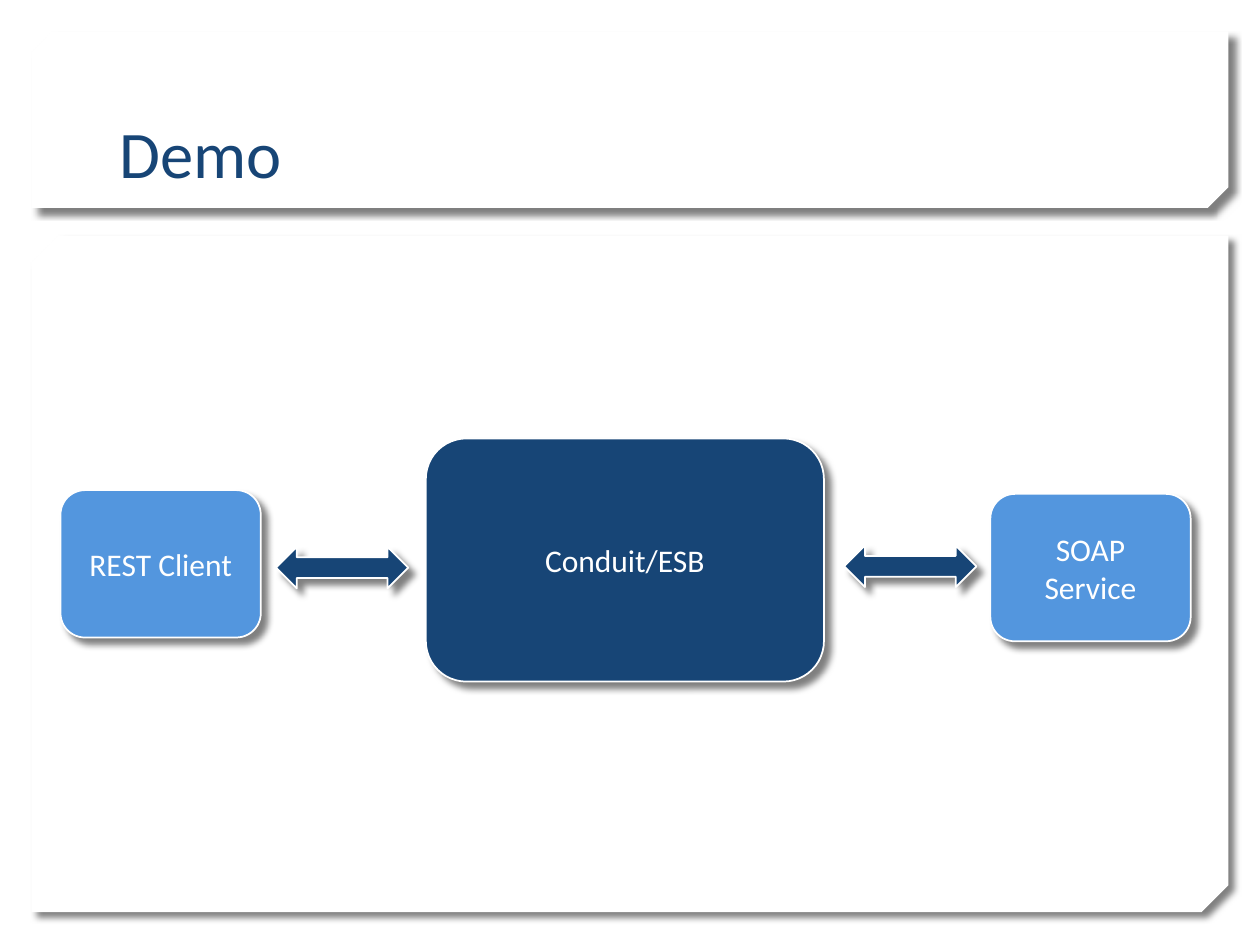
from lxml.etree import SubElement
from pptx import Presentation
from pptx.dml.color import RGBColor
from pptx.enum.shapes import MSO_SHAPE as Shape
from pptx.enum.text import MSO_ANCHOR as Anchor, PP_ALIGN as Align
from pptx.oxml.ns import qn
from pptx.util import Inches, Pt

COLORS = {"navy": "174576", "blue": "5396DE", "white": "FFFFFF", "shadow": "000000"}
FONT = "Calibri"
TITLE = "Demo"

# Panels: top, height, corner snip
PANEL_LEFT, PANEL_WIDTH = 0.25, 9.5
PANELS = [(1.87, 5.37, 0.04), (0.25, 1.4, 0.117)]

# Boxes: text, colour, left, top, size
SMALL, LARGE = (1.59, 1.17), (3.16, 1.93)
BOXES = [
    ("REST Client", "blue", 0.48, 3.89, SMALL),
    ("SOAP Service", "blue", 7.86, 3.92, SMALL),
    ("Conduit/ESB", "navy", 3.38, 3.48, LARGE),
]

# Arrows: left, top
ARROW_SIZE = (1.05, 0.33)
ARROWS = [(2.19, 4.34), (6.7, 4.33)]


def color(name):
    """Return the named colour."""
    return RGBColor.from_string(COLORS[name])


def add_shadow(shape):
    """Give a shape a soft shadow towards the lower right."""
    shape.shadow.inherit = False
    effects = shape._element.spPr.find(qn("a:effectLst"))
    shadow = SubElement(effects, qn("a:outerShdw"), blurRad=str(Pt(4)), dist=str(Pt(5)),
                        dir=str(45 * 60000), algn="tl", rotWithShape="0")
    shade = SubElement(shadow, qn("a:srgbClr"), val=COLORS["shadow"])
    SubElement(shade, qn("a:alpha"), val="50000")


def add_block(slide, kind, left, top, size, fill, outlined=True):
    """Add a filled shape with a shadow and an optional white outline."""
    shape = slide.shapes.add_shape(kind, *map(Inches, (left, top, *size)))
    shape.fill.solid()
    shape.fill.fore_color.rgb = color(fill)
    if outlined:
        shape.line.color.rgb = color("white")
        shape.line.width = Pt(1)
    else:
        shape.line.fill.background()
    add_shadow(shape)
    return shape


def write(shape, text, size, ink, anchor, align):
    """Write one line of text in a shape."""
    frame = shape.text_frame
    frame.word_wrap = True
    frame.vertical_anchor = anchor
    paragraph = frame.paragraphs[0]
    paragraph.alignment = align
    run = paragraph.add_run()
    run.text = text
    run.font.name = FONT
    run.font.size = Pt(size)
    run.font.color.rgb = color(ink)


presentation = Presentation()
presentation.slide_width, presentation.slide_height = Inches(10), Inches(7.5)
slide = presentation.slides.add_slide(presentation.slide_layouts[6])

for top, height, snip in PANELS:
    panel = add_block(slide, Shape.SNIP_2_DIAG_RECTANGLE, PANEL_LEFT, top,
                      (PANEL_WIDTH, height), "white", outlined=False)
    panel.adjustments[0], panel.adjustments[1] = 0, snip
    panel._element.spPr.xfrm.set("flipV", "1")

title = slide.shapes.add_textbox(*map(Inches, (0.85, 0.32, 8.29, 1.25)))
write(title, TITLE, 38, "navy", Anchor.BOTTOM, Align.LEFT)

for text, fill, left, top, size in BOXES:
    box = add_block(slide, Shape.ROUNDED_RECTANGLE, left, top, size, fill)
    write(box, text, 18, "white", Anchor.MIDDLE, Align.CENTER)

for left, top in ARROWS:
    add_block(slide, Shape.LEFT_RIGHT_ARROW, left, top, ARROW_SIZE, "navy")

presentation.save("out.pptx")
